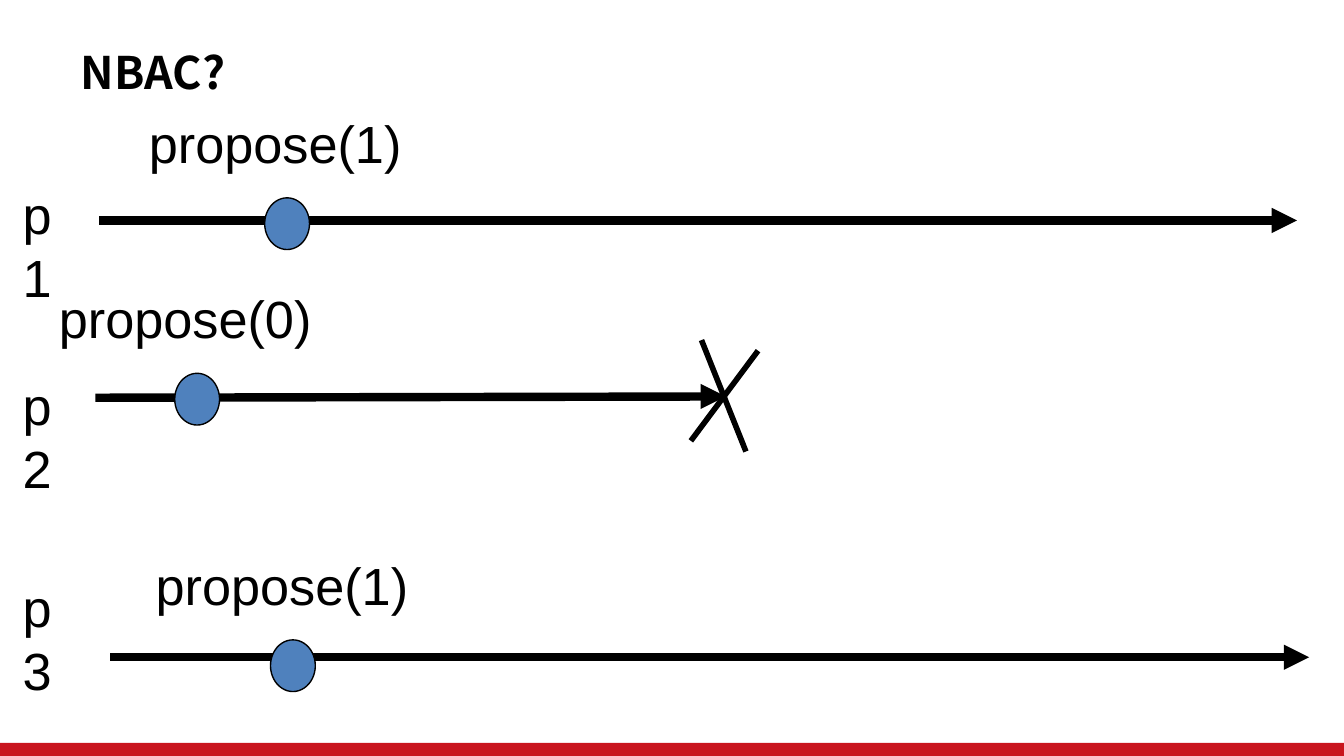
"""Build a slide with the timelines of three processes in an NBAC run."""
from pptx import Presentation
from pptx.dml.color import RGBColor
from pptx.enum.shapes import MSO_CONNECTOR, MSO_SHAPE
from pptx.enum.text import MSO_ANCHOR, MSO_AUTO_SIZE, PP_ALIGN
from pptx.oxml.ns import qn
from pptx.util import Pt
from lxml.etree import SubElement

BLACK = RGBColor(0, 0, 0)
WHITE = RGBColor(255, 255, 255)
RED = RGBColor(0xC9, 0x15, 0x1E)
BLUE = RGBColor(0x4F, 0x81, 0xBD)

TITLE = "NBAC?"
LANES = [
    {"name": "p1", "name_top": 94.3, "line": (53.3, 118.1, 694.8, 118.1),
     "event": "propose(1)", "event_at": (72.7, 56.2), "dot_at": (141.8, 106)},
    {"name": "p2", "name_top": 196.6, "line": (51.1, 213.1, 388.8, 212.4),
     "event": "propose(0)", "event_at": (24.5, 149.8), "dot_at": (93.6, 200)},
    {"name": "p3", "name_top": 304.6, "line": (59, 352.1, 701.3, 352.1),
     "event": "propose(1)", "event_at": (76.3, 293), "dot_at": (144.9, 342.8)},
]
CRASH_STROKES = [(406.1, 187.9, 370.1, 236.2), (375.8, 182.2, 399.6, 241.9)]
WIDTH, HEIGHT = 720, 405
BAR_TOP = 398
NAME_LEFT, NAME_WIDTH = 5, 42.5
EVENT_WIDTH, TEXT_HEIGHT = 221.8, 41
DOT_WIDTH, DOT_HEIGHT = 24, 27.7


def add_line(slide, ends, weight, arrow=False):
    """Add a black straight line, with an arrowhead at its end if asked."""
    line = slide.shapes.add_connector(MSO_CONNECTOR.STRAIGHT, *map(Pt, ends))
    line.line.color.rgb = BLACK
    line.line.width = Pt(weight)
    if arrow:
        SubElement(line.line._get_or_add_ln(), qn("a:tailEnd"), type="triangle")
    SubElement(line._element.spPr, qn("a:effectLst"))


def add_label(slide, text, left, top, width):
    """Add a wrapped label."""
    box = slide.shapes.add_textbox(Pt(left), Pt(top), Pt(width), Pt(TEXT_HEIGHT))
    frame = box.text_frame
    frame.word_wrap = True
    frame.auto_size = MSO_AUTO_SIZE.SHAPE_TO_FIT_TEXT
    frame.text = text
    font = frame.paragraphs[0].runs[0].font
    font.name, font.size = "Arial", Pt(28)
    font.color.rgb = BLACK


def add_filled(slide, kind, bounds, fill):
    """Add a filled preset shape without an outline."""
    shape = slide.shapes.add_shape(kind, *map(Pt, bounds))
    shape.shadow.inherit = False
    shape.fill.solid()
    shape.fill.fore_color.rgb = fill
    shape.line.fill.background()
    return shape


def add_title(slide):
    """Place and format the title."""
    title = slide.shapes.title
    title.left, title.top, title.width, title.height = map(Pt, (36, 21, 501, 35))
    frame = title.text_frame
    frame.text = TITLE
    frame.word_wrap = False
    frame.auto_size = MSO_AUTO_SIZE.NONE
    frame.vertical_anchor = MSO_ANCHOR.MIDDLE
    paragraph = frame.paragraphs[0]
    paragraph.alignment = PP_ALIGN.LEFT
    font = paragraph.runs[0].font
    font.name, font.size, font.bold = "Noto Sans CJK SC", Pt(24), True
    font.color.rgb = BLACK
    properties = paragraph.runs[0]._r.get_or_add_rPr()
    SubElement(properties, qn("a:ea"), typeface="Noto Sans CJK SC")


def main():
    """Assemble and save the slide."""
    presentation = Presentation()
    presentation.slide_width, presentation.slide_height = Pt(WIDTH), Pt(HEIGHT)
    slide = presentation.slides.add_slide(presentation.slide_layouts[5])
    slide.background.fill.solid()
    slide.background.fill.fore_color.rgb = WHITE
    add_filled(slide, MSO_SHAPE.RECTANGLE, (0, BAR_TOP, WIDTH, HEIGHT - BAR_TOP), RED)
    add_title(slide)
    for lane in LANES:
        add_line(slide, lane["line"], 4.5, arrow=True)
        add_label(slide, lane["name"], NAME_LEFT, lane["name_top"], NAME_WIDTH)
        add_label(slide, lane["event"], *lane["event_at"], EVENT_WIDTH)
        dot = add_filled(slide, MSO_SHAPE.OVAL,
                         (*lane["dot_at"], DOT_WIDTH, DOT_HEIGHT), BLUE)
        dot.line.color.rgb = BLACK
        dot.line.width = Pt(0.75)
    for stroke in CRASH_STROKES:
        add_line(slide, stroke, 3)
    presentation.save("out.pptx")


if __name__ == "__main__":
    main()
